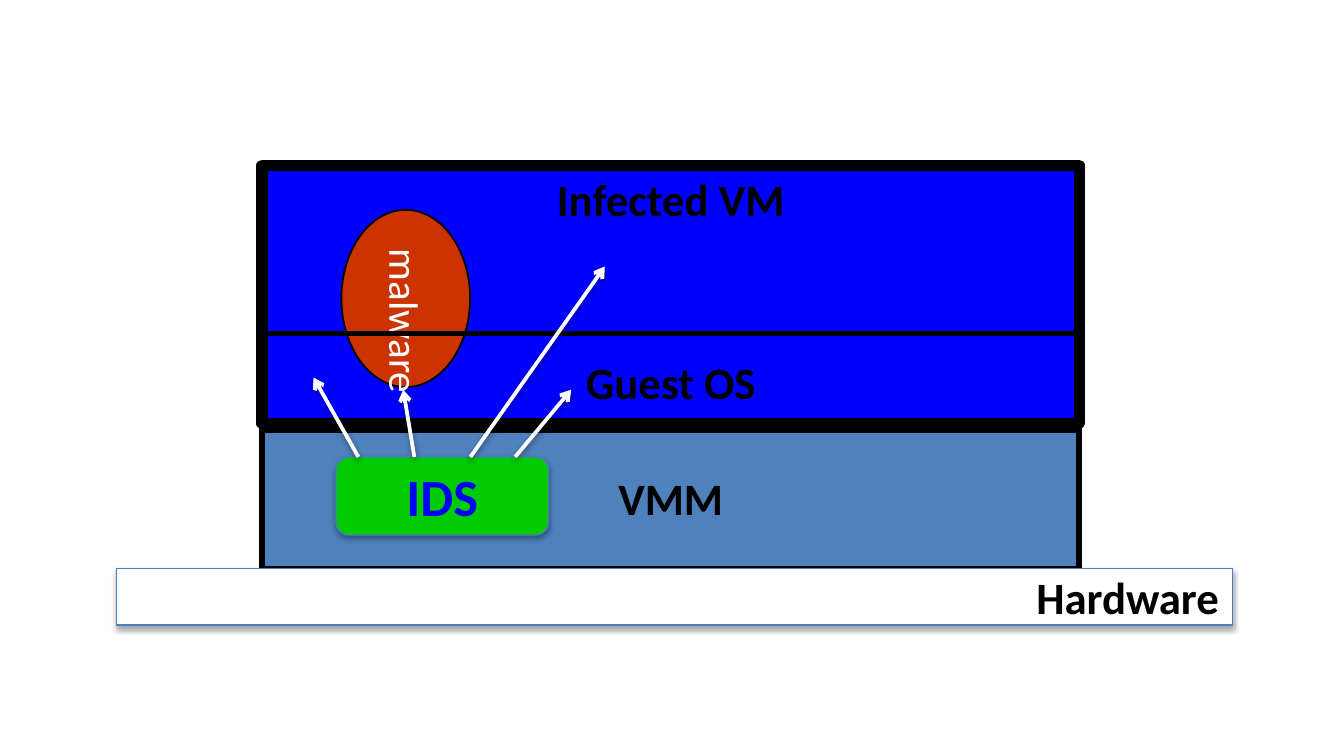
from lxml import etree
from pptx import Presentation
from pptx.dml.color import RGBColor
from pptx.enum.shapes import MSO_CONNECTOR, MSO_SHAPE
from pptx.enum.text import MSO_ANCHOR, PP_ALIGN
from pptx.oxml.ns import qn
from pptx.util import Pt

RECT, OVAL, ROUND = MSO_SHAPE.RECTANGLE, MSO_SHAPE.OVAL, MSO_SHAPE.ROUNDED_RECTANGLE
STRAIGHT = MSO_CONNECTOR.STRAIGHT
TOP, MIDDLE = MSO_ANCHOR.TOP, MSO_ANCHOR.MIDDLE
CENTER, RIGHT = PP_ALIGN.CENTER, PP_ALIGN.RIGHT
BLACK, WHITE, BLUE, EDGE = "000000", "FFFFFF", "0000FF", "4B7EBC"


def rgb(value):
    """Turn a hex string into a colour."""
    return RGBColor.from_string(value)


def add_shadow(effects, dist, alpha):
    """Add a soft downward shadow to an effect list."""
    shadow = etree.SubElement(effects, qn("a:outerShdw"), blurRad=str(Pt(3.15)),
                              dist=str(Pt(dist)), dir="5400000", rotWithShape="0")
    color = etree.SubElement(shadow, qn("a:srgbClr"), val=BLACK)
    etree.SubElement(color, qn("a:alpha"), val=str(alpha * 1000))


def write(sp, text, size=24, color=BLACK, bold=True, align=CENTER,
          anchor=MIDDLE, wrap=False, vert=None):
    """Put one formatted line of text into a shape."""
    tf = sp.text_frame
    tf.word_wrap = wrap
    tf.vertical_anchor = anchor
    if vert:
        tf._txBody.bodyPr.set("vert", vert)
    p = tf.paragraphs[0]
    p.alignment = align
    r = p.add_run()
    r.text = text
    r.font.name, r.font.size, r.font.bold = "Calibri", Pt(size), bold
    r.font.color.rgb = rgb(color)


def add_block(s, kind, box, fill, line, width, shadow=False):
    """Draw an outlined shape in the box, filled if a fill is given."""
    sp = s.shapes.add_shape(kind, *map(Pt, box))
    sp.shadow.inherit = False
    if fill:
        sp.fill.solid()
        sp.fill.fore_color.rgb = rgb(fill)
    else:
        sp.fill.background()
    sp.line.color.rgb = rgb(line)
    sp.line.width = Pt(width)
    if shadow:
        add_shadow(sp._element.spPr.find(qn("a:effectLst")), 1.8, 35)
    return sp


def add_arrow(s, start, end):
    """Draw a white arrow from start to end."""
    c = s.shapes.add_connector(STRAIGHT, *map(Pt, (*start, *end)))
    c.line.color.rgb = rgb(WHITE)
    c.line.width = Pt(2)
    etree.SubElement(c.line._get_or_add_ln(), qn("a:tailEnd"), type="arrow")
    add_shadow(etree.SubElement(c._element.spPr, qn("a:effectLst")), 1.6, 38)


def add_stack(s, x, y, w, h):
    """Draw the infected VM, its malware and guest OS, and the VMM below."""
    vm = add_block(s, RECT, (x, y, w, 138.2), BLUE, BLACK, 6)
    write(vm, "Infected VM", anchor=TOP)
    malware = add_block(s, OVAL, (x + 42.5, y + 23.8, 69, 95), "CC3300", BLACK, 1)
    write(malware, "malware", size=22, color=WHITE, bold=False, vert="eaVert")
    vmm_h = 76.3
    vmm = add_block(s, RECT, (x, y + h - vmm_h, w, vmm_h), "4F81BD", BLACK, 3)
    write(vmm, "VMM")
    guest = add_block(s, RECT, (x, y + 90, w, 51.8), None, BLACK, 3)
    write(guest, "Guest OS")


def add_hardware(s, x, y, w, h):
    """Draw the hardware bar."""
    bar = add_block(s, RECT, (x, y, w, h), WHITE, EDGE, 0.75, shadow=True)
    write(bar, "Hardware", align=RIGHT, wrap=True)


def add_ids(s, x, y, w, h):
    """Draw the IDS and the arrows that rise from its top edge."""
    ids = add_block(s, ROUND, (x, y, w, h), "00CC00", EDGE, 0.75, shadow=True)
    write(ids, "IDS", size=28, color=BLUE, wrap=True)
    for start, end, rise in ((96, 126, 36), (72, 144, 102), (42, 36, 36), (12, -12, 42.5)):
        add_arrow(s, (x + start, y), (x + end, y - rise))


def main():
    """Build and save the slide."""
    prs = Presentation()
    prs.slide_width, prs.slide_height = Pt(720), Pt(405)
    s = prs.slides.add_slide(prs.slide_layouts[6])
    add_stack(s, 140.4, 88.6, 437.8, 216)
    add_hardware(s, 62.6, 304.6, 597.6, 30.2)
    add_ids(s, 180, 244.8, 113.8, 41.8)
    prs.save("out.pptx")


if __name__ == "__main__":
    main()
